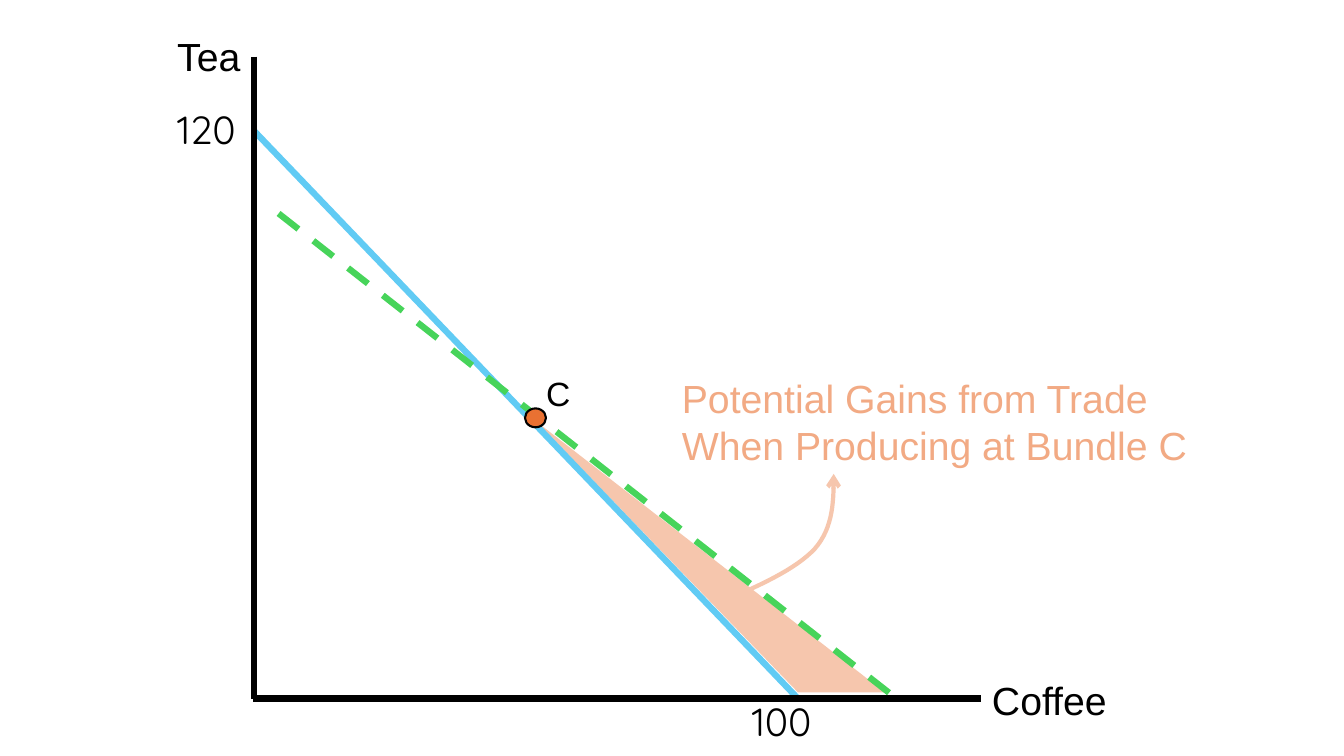
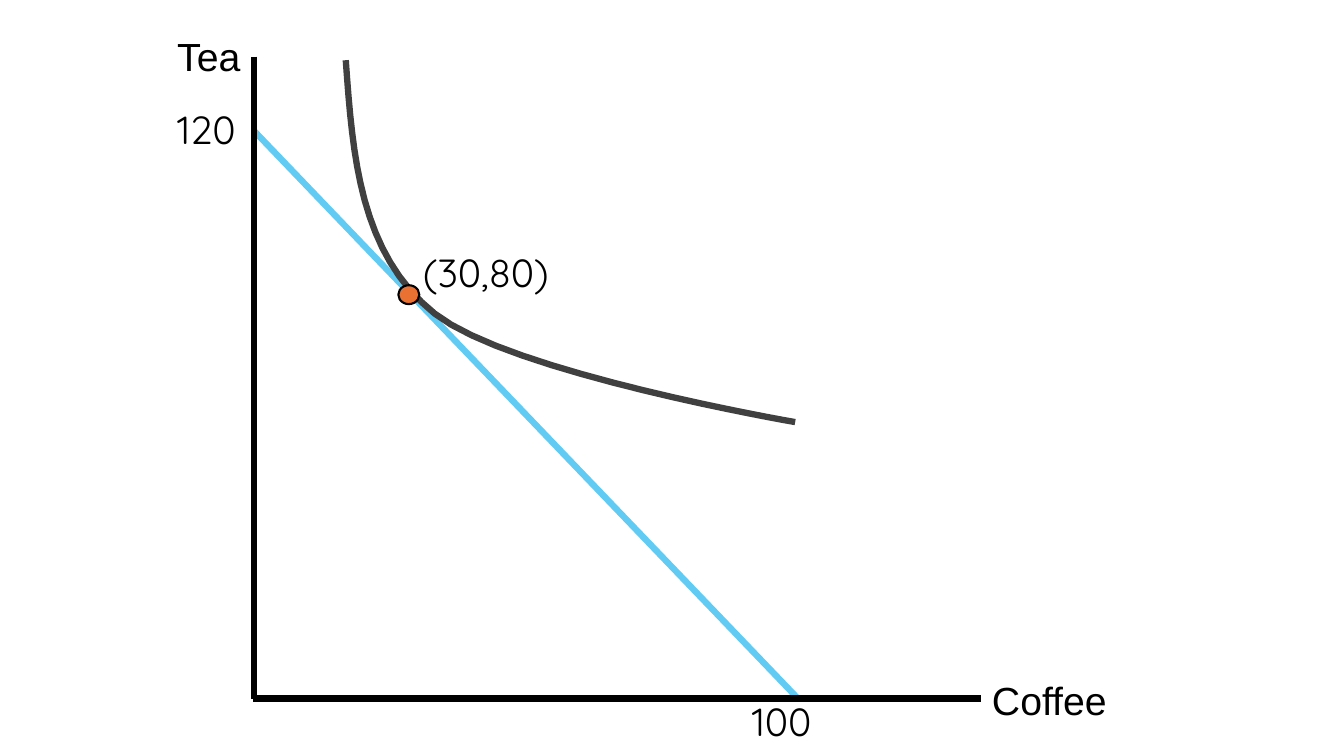
import pptx
import pptx.util
import pptx.dml.color
import pptx.enum.dml
import pptx.enum.shapes
import pptx.enum.text
import pptx.oxml.ns
from dataclasses import dataclass
from lxml import etree
from pptx.util import Pt


@dataclass(frozen=True)
class Theme:
    black: str = "000000"
    budget: str = "61CBF4"
    trade: str = "47D45A"
    gains: str = "F6C6AD"
    gains_text: str = "F2AA84"
    indifference: str = "404040"
    bundle: str = "E97132"
    word_font: str = "Arial"
    number_font: str = "Quicksand"
    label_size: float = 28
    bundle_size: float = 24
    heavy: float = 4.5
    medium: float = 3
    thin: float = 1.5


THEME = Theme()

# Points are (x, y); boxes are (left, top, width, height).
AXES = [((181.5, 40.5), (181.5, 499.5)), ((700.5, 499), (181, 499))]
BUDGET_LINE = ((181, 93), (570, 499))
TRADE_LINE = ((199, 152.5), (641, 499.5))
AXIS_LABELS = [
    ("Tea", (119.5, 19.5, 66, 41), THEME.word_font),
    ("Coffee", (701.5, 479.5, 110, 41), THEME.word_font),
    ("120", (119.5, 72, 84, 41), THEME.number_font),
    ("100", (530, 494.5, 80, 41), THEME.number_font),
]
GAINS_AREA = [(383, 301), (632, 494.5), (570, 494.5)]
GAINS_TEXT = "Potential Gains from Trade When Producing at Bundle C"
GAINS_BOX = (480, 264, 398, 75)
GAINS_ARROW = [(514, 430.5), (541, 419), (568, 407), (582, 392),
               (595.5, 376.5), (595.5, 357), (595.5, 338.5)]
INDIFFERENCE_CURVE = [(247, 43), (252, 112), (257, 181), (310.5, 224),
                      (364, 266.5), (568, 301.5), (568, 301.5)]
BUNDLE_C = (382.5, 298.5)
BUNDLE_C_BOX = (383, 263, 24.5, 36)
CHOSEN_BUNDLE = (292, 210.5)
CHOSEN_BOX = (295, 174, 131, 41)
DOT_SIZE = (15, 13.5)
CURVE_STEPS = 16


def rgb(code):
    return pptx.dml.color.RGBColor.from_string(code)


def set_line(line, color, width):
    line.color.rgb = rgb(color)
    line.width = Pt(width)


def set_fill(shape, color):
    shape.fill.solid()
    shape.fill.fore_color.rgb = rgb(color)


def add_line(shapes, ends, color):
    start, end = ends
    connector = shapes.add_connector(
        pptx.enum.shapes.MSO_CONNECTOR.STRAIGHT, *map(Pt, start + end))
    set_line(connector.line, color, THEME.heavy)
    etree.SubElement(connector._element.spPr, pptx.oxml.ns.qn("a:effectLst"))
    return connector


def add_label(slide, text, box, font, color=THEME.black, size=THEME.label_size):
    frame = slide.shapes.add_textbox(*map(Pt, box)).text_frame
    frame.word_wrap = True
    frame.auto_size = pptx.enum.text.MSO_AUTO_SIZE.SHAPE_TO_FIT_TEXT
    paragraph = frame.paragraphs[0]
    paragraph.text = text
    paragraph.font.name = font
    paragraph.font.size = Pt(size)
    paragraph.font.color.rgb = rgb(color)


def add_outline(slide, points, close):
    corners = [(Pt(x), Pt(y)) for x, y in points]
    builder = slide.shapes.build_freeform(*corners[0])
    builder.add_line_segments(corners[1:], close=close)
    outline = builder.convert_to_shape()
    outline.shadow.inherit = False
    return outline


def bezier_points(controls):
    """Sample cubic segments that share their end points."""
    points = [controls[0]]
    for first in range(0, len(controls) - 1, 3):
        segment = controls[first:first + 4]
        for step in range(1, CURVE_STEPS + 1):
            t = step / CURVE_STEPS
            weights = ((1 - t) ** 3, 3 * t * (1 - t) ** 2, 3 * t ** 2 * (1 - t), t ** 3)
            points.append(tuple(sum(w * p[axis] for w, p in zip(weights, segment))
                                for axis in (0, 1)))
    return points


def add_curve(slide, controls, color, width):
    curve = add_outline(slide, bezier_points(controls), close=False)
    curve.fill.background()
    set_line(curve.line, color, width)
    return curve


def add_bundle(slide, center):
    left, top = (c - size / 2 for c, size in zip(center, DOT_SIZE))
    dot = slide.shapes.add_shape(pptx.enum.shapes.MSO_SHAPE.OVAL,
                                 Pt(left), Pt(top), *map(Pt, DOT_SIZE))
    dot.shadow.inherit = False
    set_fill(dot, THEME.bundle)
    set_line(dot.line, THEME.black, THEME.thin)


def add_budget_graph(slide):
    add_line(slide.shapes, BUDGET_LINE, THEME.budget)
    axes = slide.shapes.add_group_shape()
    for axis in AXES:
        add_line(axis and axes.shapes, axis, THEME.black)
    for text, box, font in AXIS_LABELS:
        add_label(slide, text, box, font)


def build_gains_slide(slide):
    area = add_outline(slide, GAINS_AREA, close=True)
    set_fill(area, THEME.gains)
    area.line.fill.background()
    add_budget_graph(slide)
    trade = add_line(slide.shapes, TRADE_LINE, THEME.trade)
    trade.line.dash_style = pptx.enum.dml.MSO_LINE.DASH
    add_label(slide, GAINS_TEXT, GAINS_BOX, THEME.word_font, THEME.gains_text)
    arrow = add_curve(slide, GAINS_ARROW, THEME.gains, THEME.medium)
    etree.SubElement(arrow.line._get_or_add_ln(), pptx.oxml.ns.qn("a:tailEnd"), type="arrow")
    add_bundle(slide, BUNDLE_C)
    add_label(slide, "C", BUNDLE_C_BOX, THEME.word_font, size=THEME.bundle_size)


def build_choice_slide(slide):
    add_budget_graph(slide)
    add_curve(slide, INDIFFERENCE_CURVE, THEME.indifference, THEME.heavy)
    add_bundle(slide, CHOSEN_BUNDLE)
    add_label(slide, "(30,80)", CHOSEN_BOX, THEME.number_font)


def main():
    deck = pptx.Presentation()
    deck.slide_width, deck.slide_height = Pt(960), Pt(540)
    blank = deck.slide_layouts[6]
    for build in (build_gains_slide, build_choice_slide):
        build(deck.slides.add_slide(blank))
    deck.save("out.pptx")


if __name__ == "__main__":
    main()
